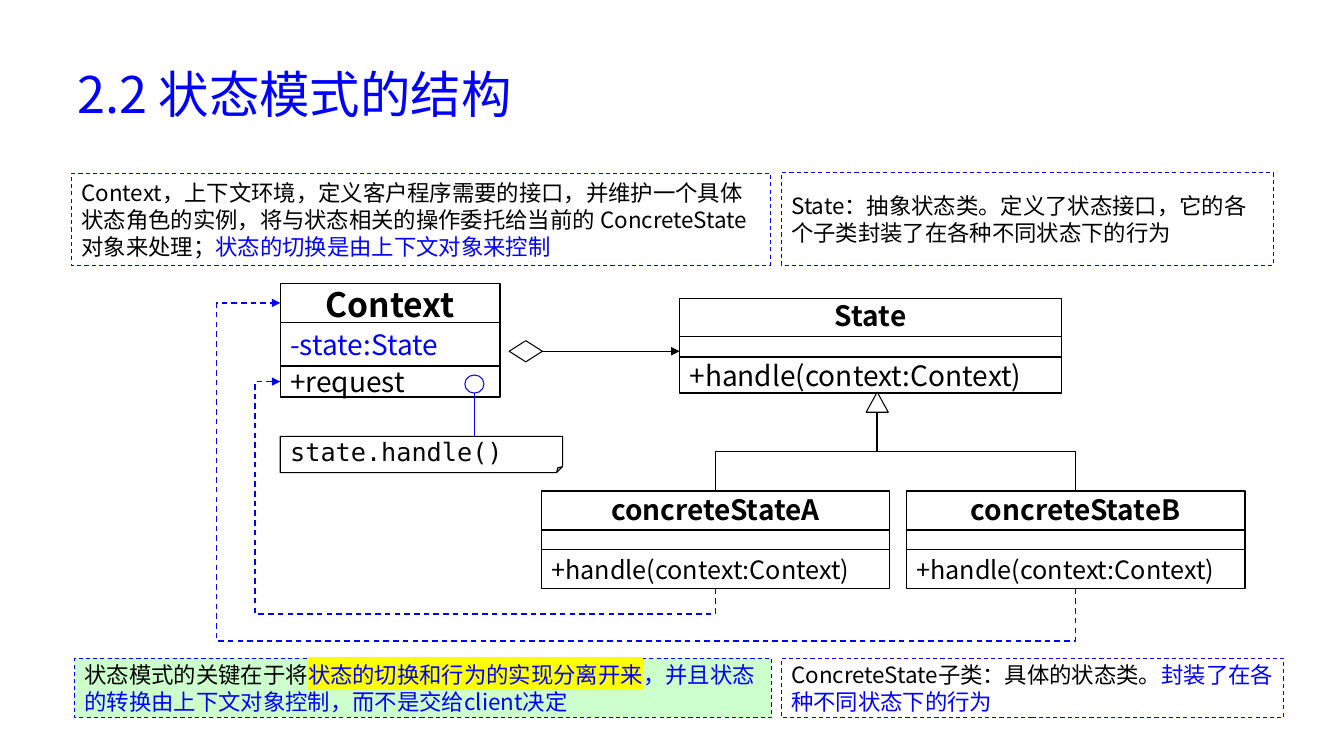
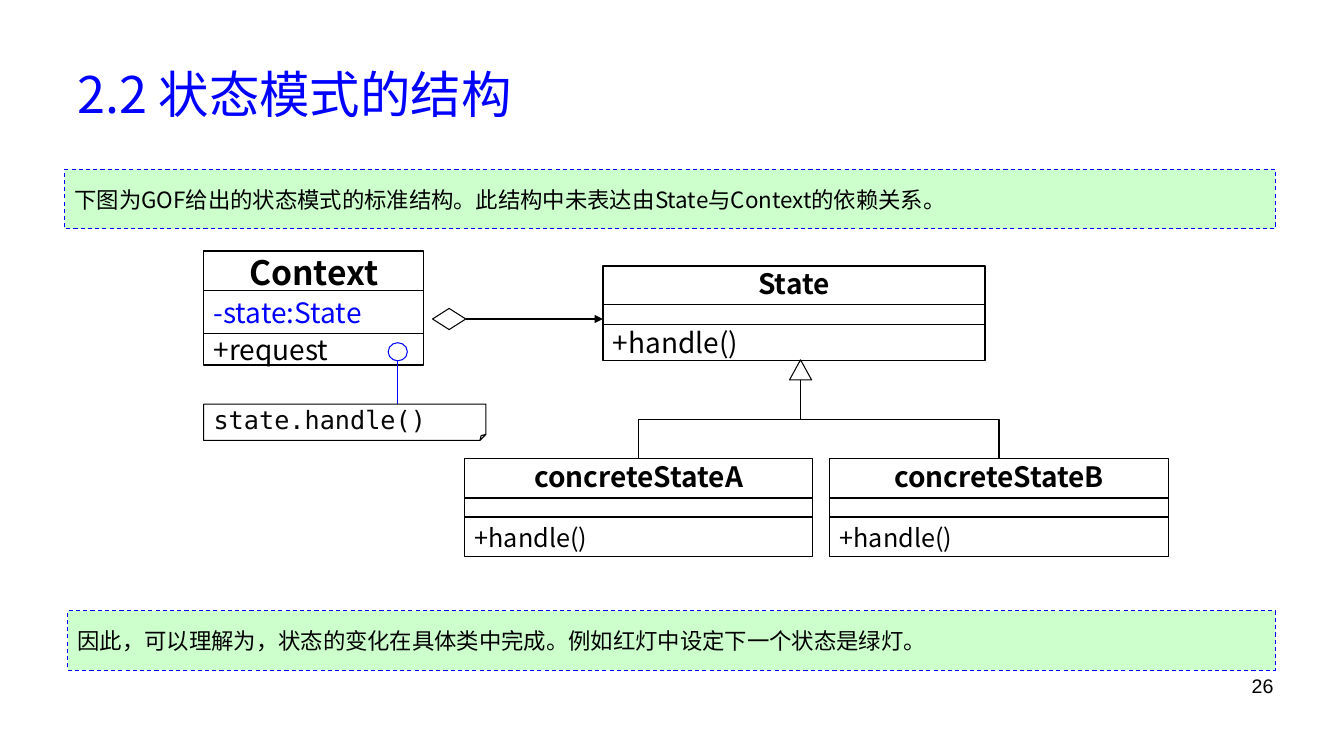
from lxml import etree
from pptx import Presentation
from pptx.dml.color import RGBColor
from pptx.enum.dml import MSO_LINE
from pptx.enum.shapes import MSO_CONNECTOR, MSO_SHAPE
from pptx.enum.text import MSO_ANCHOR, PP_ALIGN
from pptx.oxml.ns import qn
from pptx.util import Inches, Pt

RECT, DIAMOND = MSO_SHAPE.RECTANGLE, MSO_SHAPE.FLOWCHART_DECISION
TRIANGLE, CIRCLE = MSO_SHAPE.ISOSCELES_TRIANGLE, MSO_SHAPE.OVAL
NOTE = MSO_SHAPE.FOLDED_CORNER
STRAIGHT, ELBOW = MSO_CONNECTOR.STRAIGHT, MSO_CONNECTOR.ELBOW
TOP, MIDDLE = MSO_ANCHOR.TOP, MSO_ANCHOR.MIDDLE
LEFT, CENTER, RIGHT = PP_ALIGN.LEFT, PP_ALIGN.CENTER, PP_ALIGN.RIGHT
DASH = MSO_LINE.DASH

C = {"black": "000000", "blue": "0000FF", "white": "FFFFFF",
     "green": "CCFFCC", "yellow": "FFFF00", "code": "080808"}
SANS, MONO, NUMBER = "Noto Sans CJK SC", "DejaVu Sans Mono", "Arial"

prs = Presentation()
prs.slide_width, prs.slide_height = Inches(13.33), Inches(7.5)
COL, ROW = prs.slide_width / 133.3, prs.slide_height / 75


def box(s, x, y, w, h, runs=(), kind=RECT, size=16, color="black", font=SANS,
        bold=False, align=LEFT, anchor=MIDDLE, fill=None, line="black",
        width=1, dash=None):
    """Draw a shape, or a text box if kind is None; runs are (text, colour, highlight)."""
    place = [int(v) for v in (x * COL, y * ROW, w * COL, h * ROW)]
    if kind is None:
        sp = s.shapes.add_textbox(*place)
    else:
        sp = s.shapes.add_shape(kind, *place)
        sp.shadow.inherit = False
        sp.line.color.rgb = RGBColor.from_string(C[line])
        sp.line.width = Pt(width)
        if dash:
            sp.line.dash_style = dash
        if fill:
            sp.fill.solid()
            sp.fill.fore_color.rgb = RGBColor.from_string(C[fill])
        else:
            sp.fill.background()
    if not runs:
        return sp
    tf = sp.text_frame
    tf.word_wrap, tf.vertical_anchor = True, anchor
    p = tf.paragraphs[0]
    p.alignment = align
    if bold:
        p.line_spacing = 0.9
    p.font.size, p.font.bold, p.font.name = Pt(size), bold, font
    p.font.color.rgb = RGBColor.from_string(C[color])
    etree.SubElement(p._p.pPr.find(qn("a:defRPr")), qn("a:ea"), typeface=font)
    for text, *style in [(runs,)] if isinstance(runs, str) else runs:
        r = p.add_run()
        r.text = text
        if style:
            r.font.color.rgb = RGBColor.from_string(C[style[0]])
        if len(style) > 1:
            mark = etree.SubElement(r._r.rPr, qn("a:highlight"))
            etree.SubElement(mark, qn("a:srgbClr"), val=C[style[1]])
    return sp


def connect(s, x1, y1, x2, y2, begin=None, end=None, color="black", dash=None,
            arrow=False, bent=False, via=None):
    """Join two points; a bent line leaves vertically, and turns at via if given."""
    c = s.shapes.add_connector(ELBOW if bent else STRAIGHT, int(x1 * COL),
                               int(y1 * ROW), int(x2 * COL), int(y2 * ROW))
    if begin:
        c.begin_connect(*begin)
    if end:
        c.end_connect(*end)
    c.line.color.rgb = RGBColor.from_string(C[color])
    c.line.width = Pt(1)
    if dash:
        c.line.dash_style = dash
    if arrow:
        etree.SubElement(c.line._get_or_add_ln(), qn("a:tailEnd"), type="triangle")
    spPr = c._element.spPr
    etree.SubElement(spPr, qn("a:effectLst"))
    if bent:
        w, h = abs(y2 - y1) * ROW, abs(x2 - x1) * COL
        c.left, c.top = int((x1 + x2) * COL / 2 - w / 2), int((y1 + y2) * ROW / 2 - h / 2)
        c.width, c.height, c.rotation = int(w), int(h), 90
        xfrm = spPr.find(qn("a:xfrm"))
        xfrm.set("flipH", str(int(y1 > y2)))
        xfrm.set("flipV", str(int(x1 < x2)))
    if via:
        geom = spPr.find(qn("a:prstGeom"))
        geom.set("prst", "bentConnector4")
        turns = (via[1] - y1) / (y2 - y1), (via[0] - x1) / (x2 - x1)
        for i, turn in enumerate(turns, 1):
            etree.SubElement(geom.find(qn("a:avLst")), qn("a:gd"), name=f"adj{i}",
                             fmla=f"val {round(turn * 100000)}")
    return c


callouts = [
    [(7.1, 17.2, 69.3, 9.1, "white",
      [("Context，上下文环境，定义客户程序需要的接口，并维护一个具体状态角色的实例，"
        "将与状态相关的操作委托给当前的 ConcreteState对象来处理；",),
       ("状态的切换是由上下文对象来控制", "blue")]),
     (77.5, 17.1, 48.8, 9.2, "white",
      "State：抽象状态类。定义了状态接口，它的各个子类封装了在各种不同状态下的行为"),
     (77.5, 65.3, 49.8, 5.9, "white",
      [("ConcreteState子类：具体的状态类。",), ("封装了在各种不同状态下的行为", "blue")]),
     (7.4, 65.3, 69.1, 5.9, "green",
      [("状态模式的关键在于将",), ("状态的切换和行为的实现分离开来", "blue", "yellow"),
       ("，并且状态的转换由上下文对象控制，而不是交给client决定", "blue")])],
    [(6.7, 60.6, 119.8, 5.9, "green",
      "因此，可以理解为，状态的变化在具体类中完成。例如红灯中设定下一个状态是绿灯。"),
     (6.4, 16.8, 120.1, 5.9, "green",
      "下图为GOF给出的状态模式的标准结构。此结构中未表达由State与Context的依赖关系。")],
]
# Diagram shift in columns and rows, method text, page number, feedback arrows
slides = [(0, 0, "+handle(context:Context)", None, True),
          (-7.6, -3.2, "+handle()", "26", False)]

for (dx, dy, handle, page, feedback), notes in zip(slides, callouts):
    s = prs.slides.add_slide(prs.slide_layouts[6])
    box(s, 6.7, 3, 120, 12.5, "2.2 状态模式的结构", kind=None, size=36, color="blue")
    if page:
        box(s, 96.2, 66.4, 31.1, 5.2, page, kind=None, size=14, font=NUMBER,
            align=RIGHT, anchor=TOP)

    # Class boxes: left, top, width, then rows of height, text, size, anchor
    classes = {
        "Context": (27.8, 28.1, 21.8, [(3.9, "Context", 24, TOP),
                                       (4.3, "-state:State", 20, TOP),
                                       (3.1, "+request", 20, MIDDLE)]),
        "State": (67.4, 29.6, 37.9, [(3.8, "State", 20, MIDDLE), (2, "", 20, TOP),
                                     (3.6, handle, 20, MIDDLE)]),
    }
    for name, x, w in (("concreteStateA", 53.7, 34.5), ("concreteStateB", 89.9, 33.6)):
        classes[name] = (x, 48.7, w, [(3.9, name, 20, TOP), (1.9, "", 20, TOP),
                                      (3.9, handle, 18, TOP)])
    parts = {}
    for name, (x, y, w, rows) in classes.items():
        parts[name] = []
        for h, text, size, anchor in rows:
            head = text == name
            parts[name].append(box(
                s, x + dx, y + dy, w, h, text, size=size, anchor=anchor, bold=head,
                align=CENTER if head else LEFT,
                color="blue" if text.startswith("-") else "black"))
            y += h

    diamond = box(s, 50.5 + dx, 33.8 + dy, 3.3, 2.1, kind=DIAMOND, width=0.75)
    connect(s, 53.8 + dx, 34.85 + dy, 67.4 + dx, 34.85 + dy, begin=(diamond, 3), arrow=True)
    triangle = box(s, 85.9 + dx, 38.9 + dy, 2.2, 2, kind=TRIANGLE, width=0.75)
    for name in ("concreteStateA", "concreteStateB"):
        x, y, w, rows = classes[name]
        connect(s, x + w / 2 + dx, y + dy, 87 + dx, 40.9 + dy,
                begin=(parts[name][0], 0), end=(triangle, 3), bent=True)

    box(s, 27.8 + dx, 43.3 + dy, 28, 3.6, "state.handle()", kind=NOTE, size=18,
        font=MONO, color="code", fill="white", width=0.75)
    box(s, 46.1 + dx, 37.2 + dy, 1.9, 1.8, kind=CIRCLE, fill="white", line="blue", width=0.75)
    connect(s, 47.05 + dx, 39 + dy, 47.05 + dx, 43.3 + dy, color="blue")

    for x, y, w, h, fill, runs in notes:
        box(s, x, y, w, h, runs, fill=fill, line="blue", width=0.75, dash=DASH)

    if feedback:
        for name, row, y2, via in (("concreteStateA", 2, 37.85, (25.3, 60.9)),
                                   ("concreteStateB", 0, 30.05, (21.5, 63.6))):
            x, y, w, rows = classes[name]
            connect(s, x + w / 2, y + sum(r[0] for r in rows), 27.8, y2,
                    begin=(parts[name][2], 2), end=(parts["Context"][row], 1),
                    color="blue", dash=DASH, arrow=True, bent=True, via=via)

prs.save("out.pptx")
